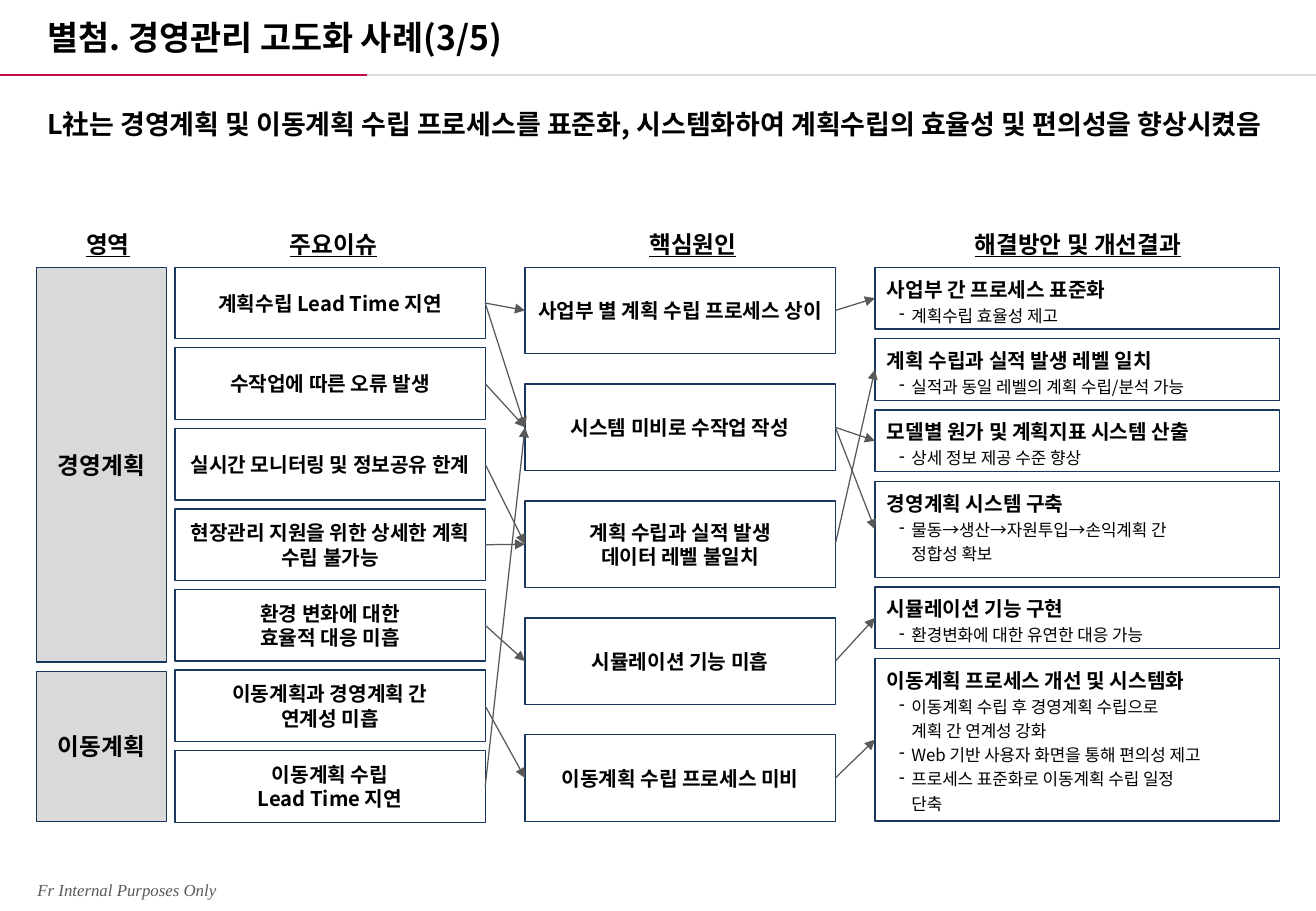
from lxml import etree
from pptx import Presentation
from pptx.dml.color import RGBColor
from pptx.enum.shapes import MSO_CONNECTOR, MSO_SHAPE
from pptx.enum.text import MSO_ANCHOR, PP_ALIGN
from pptx.oxml.ns import qn
from pptx.util import Pt

BLACK = RGBColor(0x00, 0x00, 0x00)
WHITE = RGBColor(0xFF, 0xFF, 0xFF)
NAVY = RGBColor(0x17, 0x37, 0x5E)
GRAY = RGBColor(0xD9, 0xD9, 0xD9)
DARK_GRAY = RGBColor(0x59, 0x59, 0x59)
RULE_GRAY = RGBColor(0xDD, 0xDD, 0xDD)
CRIMSON = RGBColor(0xC7, 0x09, 0x52)

STRAIGHT = MSO_CONNECTOR.STRAIGHT
RECT = MSO_SHAPE.RECTANGLE
LEFT, CENTER, JUSTIFY = PP_ALIGN.LEFT, PP_ALIGN.CENTER, PP_ALIGN.JUSTIFY
TOP, MIDDLE, BOTTOM = MSO_ANCHOR.TOP, MSO_ANCHOR.MIDDLE, MSO_ANCHOR.BOTTOM
LEFT_SIDE, RIGHT_SIDE = 1, 3

FONT = "Noto Sans CJK KR"
GRID_TOP = 158.4
ISSUE_PITCH, ISSUE_HEIGHT = 47.75, 42.5
CAUSE_PITCH, CAUSE_HEIGHT = 69.3, 51.2
RESULT_GAP = 5.6

HEADERS = [("영역", 37.4, 53.3), ("주요이슈", 133.9, 127.4),
           ("핵심원인", 347, 127.4), ("해결방안 및 개선결과", 550.8, 176.4)]
AREAS = [("경영계획", GRID_TOP, 234), ("이동계획", 398.2, 88.6)]
ISSUES = [
    "계획수립 Lead Time 지연",
    "수작업에 따른 오류 발생",
    "실시간 모니터링 및 정보공유 한계",
    "현장관리 지원을 위한 상세한 계획 수립 불가능",
    "환경 변화에 대한\n효율적 대응 미흡",
    "이동계획과 경영계획 간\n연계성 미흡",
    "이동계획 수립\nLead Time 지연",
]
CAUSES = [
    "사업부 별 계획 수립 프로세스 상이",
    "시스템 미비로 수작업 작성",
    "계획 수립과 실적 발생\n데이터 레벨 불일치",
    "시뮬레이션 기능 미흡",
    "이동계획 수립 프로세스 미비",
]
RESULTS = [
    ("사업부 간 프로세스 표준화", 36.7, ["계획수립 효율성 제고"]),
    ("계획 수립과 실적 발생 레벨 일치", 36.7,
     ["실적과 동일 레벨의 계획 수립/분석 가능"]),
    ("모델별 원가 및 계획지표 시스템 산출", 36.7, ["상세 정보 제공 수준 향상"]),
    ("경영계획 시스템 구축", 57,
     ["물동→생산→자원투입→손익계획 간\n정합성 확보"]),
    ("시뮬레이션 기능 구현", 36.7, ["환경변화에 대한 유연한 대응 가능"]),
    ("이동계획 프로세스 개선 및 시스템화", 96.5,
     ["이동계획 수립 후 경영계획 수립으로\n계획 간 연계성 강화",
      "Web 기반 사용자 화면을 통해 편의성 제고",
      "프로세스 표준화로 이동계획 수립 일정\n단축"]),
]
# Index pairs: issue to cause, and cause to result
ISSUE_CAUSE = [(0, 0), (0, 1), (1, 1), (2, 2), (3, 2), (4, 3), (5, 4), (6, 1)]
CAUSE_RESULT = [(0, 0), (1, 3), (1, 2), (2, 1), (3, 4), (4, 5)]


def write(p, text, size, align=LEFT, color=BLACK, name=FONT, **style):
    """Fill a paragraph; each newline becomes a line break of the same size."""
    p.alignment = align
    for i, line in enumerate(text.split("\n")):
        if i:
            p.add_line_break()
        r = p.add_run()
        r.text = line
        r.font.color.rgb = color
        for key, value in {"size": Pt(size), "name": name, **style}.items():
            setattr(r.font, key, value)
        etree.SubElement(r._r.get_or_add_rPr(), qn("a:ea"), typeface=name)
    for br in p._p.findall(qn("a:br")):
        etree.SubElement(br, qn("a:rPr"), sz=str(size * 100))


def add_text(s, box, text, size, anchor=TOP, **style):
    tf = s.shapes.add_textbox(*map(Pt, box)).text_frame
    tf.word_wrap = True
    tf.vertical_anchor = anchor
    write(tf.paragraphs[0], text, size, **style)


def add_box(s, box, fill=WHITE, anchor=MIDDLE):
    sp = s.shapes.add_shape(RECT, *map(Pt, box))
    sp.shadow.inherit = False
    sp.fill.solid()
    sp.fill.fore_color.rgb = fill
    sp.line.color.rgb = NAVY
    sp.line.width = Pt(0.75)
    sp.text_frame.word_wrap = True
    sp.text_frame.vertical_anchor = anchor
    return sp


def add_label_box(s, box, text, size, fill=WHITE):
    sp = add_box(s, box, fill)
    write(sp.text_frame.paragraphs[0], text, size, CENTER, bold=True)
    return sp


def add_result_box(s, box, heading, details):
    sp = add_box(s, box, anchor=TOP)
    tf = sp.text_frame
    tf.margin_top = Pt(2.9)
    write(tf.paragraphs[0], heading, 12, bold=True)
    for detail in details:
        p = tf.add_paragraph()
        write(p, detail, 10)
        pPr = p._p.get_or_add_pPr()
        pPr.set("marL", str(Pt(14.5)))
        pPr.set("indent", str(-Pt(7.3)))
        etree.SubElement(pPr, qn("a:buChar"), char="-")
    for p in tf.paragraphs:
        p.line_spacing = 1.2
    return sp


def add_line(s, x1, y1, x2, y2, color, width):
    c = s.shapes.add_connector(STRAIGHT, Pt(x1), Pt(y1), Pt(x2), Pt(y2))
    c.line.color.rgb = color
    c.line.width = Pt(width)
    etree.SubElement(c._element.spPr, qn("a:effectLst"))
    return c


def add_arrows(s, sources, targets, pairs):
    for i, j in pairs:
        c = add_line(s, 0, 0, 0, 0, DARK_GRAY, 0.75)
        c.begin_connect(sources[i], RIGHT_SIDE)
        c.end_connect(targets[j], LEFT_SIDE)
        etree.SubElement(c.line._get_or_add_ln(), qn("a:tailEnd"),
                         type="triangle")


def main():
    prs = Presentation()
    prs.slide_width, prs.slide_height = Pt(780), Pt(540)
    s = prs.slides.add_slide(prs.slide_layouts[6])

    add_text(s, (15.1, 517.7, 193, 19.4), "Fr Internal Purposes Only", 10,
             color=DARK_GRAY, name="Times New Roman", italic=True)
    add_line(s, 0, 44.6, 217.4, 44.6, CRIMSON, 1.5)
    add_line(s, 217.4, 44.6, 780, 44.6, RULE_GRAY, 1.5)
    add_text(s, (20.9, 5, 426.2, 32.4), "별첨. 경영관리 고도화 사례(3/5)", 20,
             BOTTOM, align=JUSTIFY, bold=True)
    add_text(s, (20.9, 60.5, 738.7, 48.2),
             "L社는 경영계획 및 이동계획 수립 프로세스를 표준화, 시스템화하여 "
             "계획수립의 효율성 및 편의성을 향상시켰음", 16,
             align=JUSTIFY, bold=True)

    for text, x, w in HEADERS:
        add_text(s, (x, 132.5, w, 24.5), text, 14, align=CENTER, bold=True,
                 underline=True)
    for text, y, h in AREAS:
        add_label_box(s, (21.6, y, 77, h), text, 14, GRAY)
    issues = [add_label_box(s, (103.7, GRID_TOP + i * ISSUE_PITCH,
                                183.9, ISSUE_HEIGHT), text, 12)
              for i, text in enumerate(ISSUES)]
    causes = [add_label_box(s, (311.2, GRID_TOP + i * CAUSE_PITCH,
                                183.9, CAUSE_HEIGHT), text, 12)
              for i, text in enumerate(CAUSES)]
    results, y = [], GRID_TOP
    for heading, h, details in RESULTS:
        results.append(add_result_box(s, (518.6, y, 239.7, h),
                                      heading, details))
        y += h + RESULT_GAP

    add_arrows(s, issues, causes, ISSUE_CAUSE)
    add_arrows(s, causes, results, CAUSE_RESULT)
    prs.save("out.pptx")


if __name__ == "__main__":
    main()
